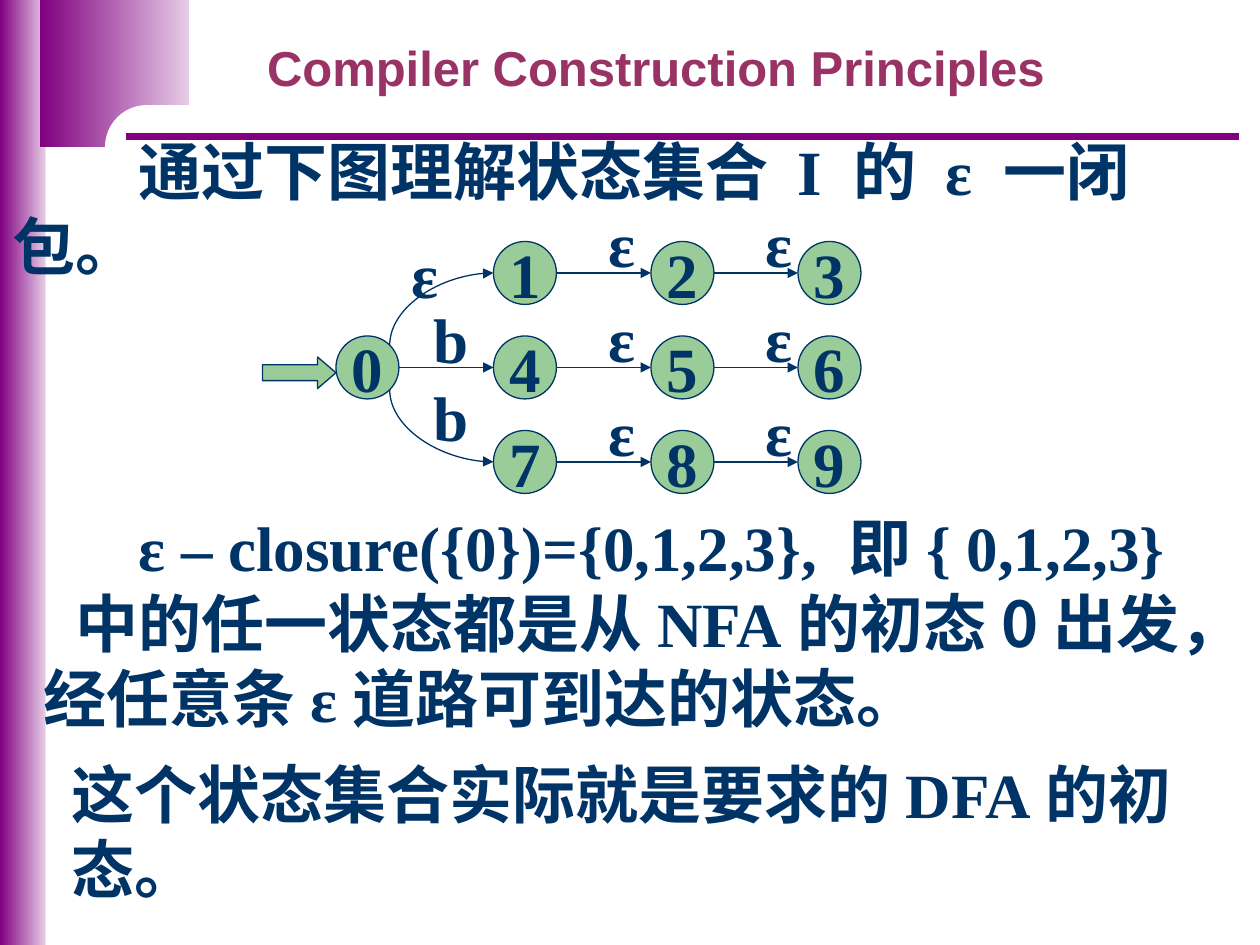
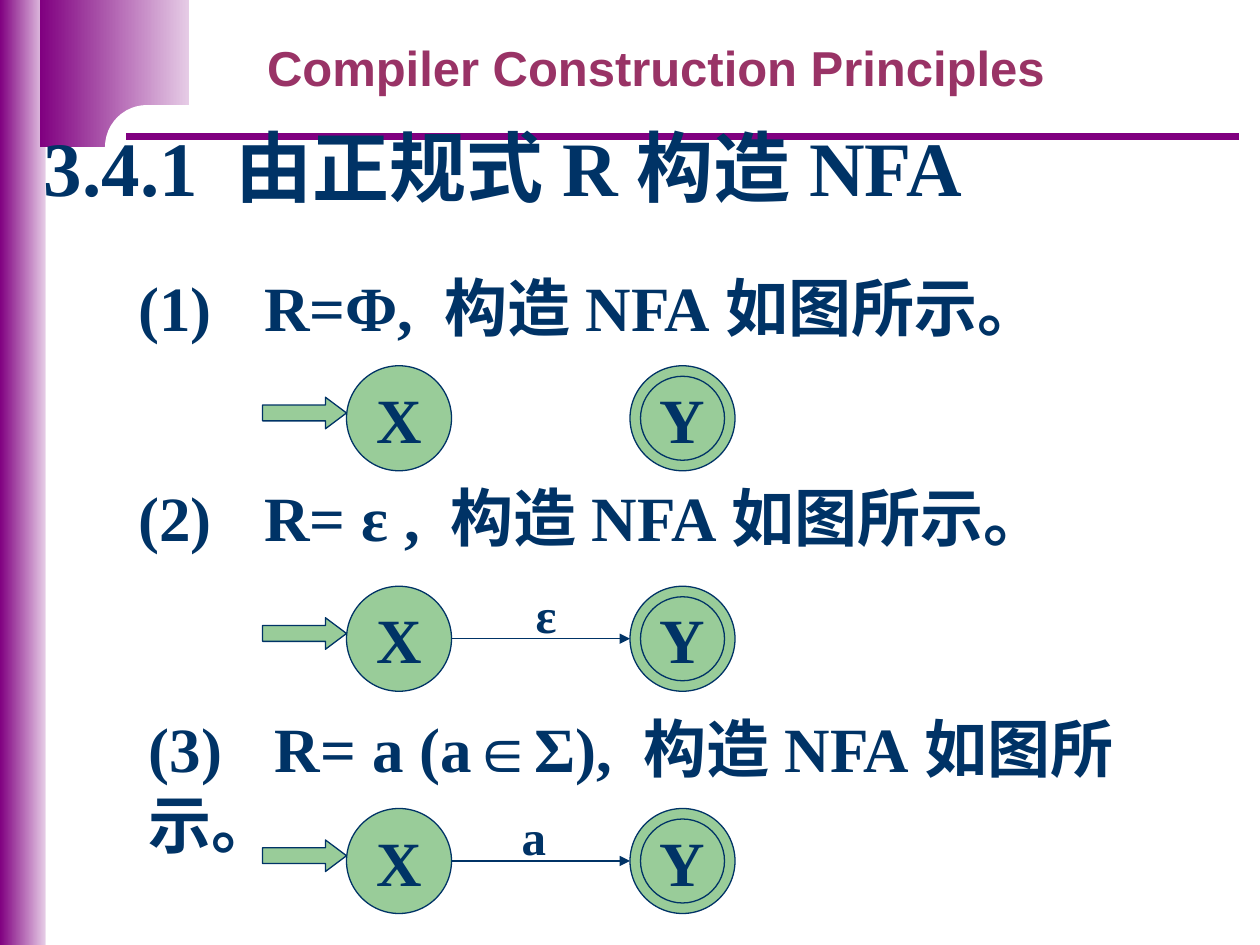
from lxml import etree
from pptx import Presentation, util as u
from pptx.dml import color
from pptx.enum import shapes, text
from pptx.oxml import ns

INK, PURPLE, LILAC, GREEN = "003366", "800080", "E6CCE6", "99CC99"
SERIF, SANS, HAN = "Times New Roman", "Arial", "Noto Sans CJK SC"
FRAME = {"word_wrap": True, "auto_size": text.MSO_AUTO_SIZE.NONE}
TIGHT = {"word_wrap": False}
CENTRED = {"alignment": text.PP_ALIGN.CENTER}
MIDDLE = {"word_wrap": False, "vertical_anchor": text.MSO_ANCHOR.MIDDLE}
NODE = 36
ARROW_HEIGHT = 18


def rgb(value):
    """Return the colour for a hex string."""
    return color.RGBColor.from_string(value)


def assign(target, formats):
    """Set each format value on the target."""
    for key, value in formats.items():
        setattr(target, key, value)


def add_xml(parent, tag, **attributes):
    """Append a drawing element to the parent."""
    return etree.SubElement(parent, ns.qn(tag), attributes)


def add_run(paragraph, words, size=36, font=SERIF, ink=INK):
    """Add bold words with Latin and Han fonts."""
    run = paragraph.add_run()
    run.text = words
    assign(run.font, {"size": u.Pt(size), "name": font, "bold": True})
    run.font.color.rgb = rgb(ink)
    add_xml(run.font._element, "a:ea", typeface=HAN)


def write(frame, lines, frame_format=FRAME, line_format={}, margin=0,
          first=0, tab=None, **run_format):
    """Fill a frame with lines, each a list of (words, font) runs."""
    assign(frame, {**FRAME, **frame_format})
    for index, line in enumerate(lines):
        paragraph = frame.add_paragraph() if index else frame.paragraphs[0]
        assign(paragraph, line_format)
        properties = paragraph._p.get_or_add_pPr()
        properties.set("marL", str(u.Pt(margin)))
        properties.set("indent", str(u.Pt(first[index] if isinstance(first, list) else first)))
        if tab:
            stops = add_xml(properties, "a:tabLst")
            add_xml(stops, "a:tab", pos=str(u.Pt(tab)), algn="l")
        for words, font in line:
            add_run(paragraph, words, font=font, **run_format)


def add_text(slide, box, lines, **formats):
    """Add a text box at left, top, width, height."""
    frame = slide.shapes.add_textbox(*map(u.Pt, box)).text_frame
    write(frame, lines, **formats)


def add_label(slide, left, top, letter, size=36):
    """Add the letter of a transition."""
    width = size * (0.42 if letter == "ε" else 0.54) + 14.4
    add_text(slide, (left, top, width, size * 1.4), [[(letter, SERIF)]],
             frame_format=TIGHT, size=size)


def add_figure(slide, kind, box, fill, line=None):
    """Add a flat preset shape, filled plainly or with two gradient colours."""
    figure = slide.shapes.add_shape(kind, *map(u.Pt, box))
    figure.shadow.inherit = False
    if isinstance(fill, tuple):
        figure.fill.gradient()
        figure.fill.gradient_angle = 0
        for stop, shade in zip(figure.fill.gradient_stops, fill):
            stop.color.rgb = rgb(shade)
    else:
        figure.fill.solid()
        figure.fill.fore_color.rgb = rgb(fill)
    if line:
        figure.line.color.rgb = rgb(line)
        figure.line.width = u.Pt(0.75)
    else:
        figure.line.fill.background()
    return figure


def add_state(slide, left, top, size, name=None):
    """Add the circle of an automaton state."""
    state = add_figure(slide, shapes.MSO_SHAPE.OVAL, (left, top, size, size), GREEN, INK)
    if name:
        write(state.text_frame, [[(name, SERIF)]], frame_format=MIDDLE, line_format=CENTRED)


def add_start(slide, left, top, width):
    """Add the block arrow that points to the initial state."""
    start = add_figure(slide, shapes.MSO_SHAPE.RIGHT_ARROW,
                       (left, top, width, ARROW_HEIGHT), GREEN, INK)
    start.adjustments[1] = width / 4 / ARROW_HEIGHT


def add_line(slide, ends, ink=INK, width=0.75, head=None, curved=False):
    """Add a line; head names the end that carries the arrow."""
    kind = shapes.MSO_CONNECTOR.CURVE if curved else shapes.MSO_CONNECTOR.STRAIGHT
    line = slide.shapes.add_connector(kind, *map(u.Pt, ends))
    line.line.color.rgb = rgb(ink)
    line.line.width = u.Pt(width)
    if head:
        add_xml(line.line._get_or_add_ln(), head, type="triangle")
    properties = line._element.spPr
    if curved:
        properties.find(ns.qn("a:prstGeom")).set("prst", "curvedConnector2")
    add_xml(properties, "a:effectLst")


def add_slide(deck):
    """Add a slide with the purple bands, the rule and the course title."""
    slide = deck.slides.add_slide(deck.slide_layouts[6])
    for band in ((0, 0, 26, 540), (23, 0, 85, 84)):
        add_figure(slide, shapes.MSO_SHAPE.RECTANGLE, band, (PURPLE, LILAC))
    notch = add_figure(slide, shapes.MSO_SHAPE.ROUNDED_RECTANGLE, (60, 60, 402, 48), "FFFFFF")
    notch.adjustments[0] = 0.5
    add_line(slide, (72, 78, 708, 78), PURPLE, 4.5)
    add_text(slide, (137.5, 18, 474.5, 41), [[("Compiler Construction Principles", SANS)]],
             line_format=CENTRED, size=28, ink="993366")
    return slide


def draw_closure(slide, left, top):
    """Draw the automaton with states 0 to 9 from its top left corner."""
    columns = [left + x for x in (132, 222, 306)]
    rows = [top + 54 * row for row in range(3)]
    origin, centre = left + 42, rows[1] + NODE / 2
    add_state(slide, origin, rows[1], NODE, "0")
    for row, y in enumerate(rows):
        middle = y + NODE / 2
        for column, x in enumerate(columns):
            add_state(slide, x, y, NODE, str(3 * row + column + 1))
        for source, target in zip(columns, columns[1:]):
            add_line(slide, (source + NODE, middle, target, middle), head="a:tailEnd")
            add_label(slide, source + 58.5, y - 24.5, "ε")
    add_line(slide, (origin + NODE, centre, columns[0], centre), head="a:tailEnd")
    for y, side in ((rows[0], -1), (rows[2], 1)):
        add_line(slide, (columns[0], y + NODE / 2, origin + 30.73, centre + side * 12.73),
                 head="a:headEnd", curved=True)
    for x, y, letter in ((78, -7, "ε"), (90.5, 30, "b"), (90.5, 75, "b")):
        add_label(slide, left + x, top + y, letter)
    add_start(slide, left, top + 66, 42)


def draw_basic(slide, left, top, letter=None, letter_left=0):
    """Draw the states X and Y, joined when a letter is given."""
    start, size, final = left + 48, 60, left + 210
    add_state(slide, start, top, size, "X")
    add_state(slide, final, top, size)
    add_state(slide, final + 6, top + 6, size - 12, "Y")
    add_start(slide, left, top + 18, 48)
    if letter:
        add_line(slide, (start + size, top + 30, final, top + 30), head="a:tailEnd")
        add_label(slide, left + letter_left, top - 4.5, letter, 28)


def build_closure_slide(deck):
    """Explain the closure of a set of states."""
    slide = add_slide(deck)
    add_text(slide, (0, 287, 720, 137), [
        [("ε – closure({0})={0,1,2,3}, 即{ 0,1,2,3}", SERIF)],
        [("中的任一状态都是从NFA", SERIF), ("的初态0出发，", HAN)],
        [("经任意条", HAN), ("ε", SERIF), ("道路可到达的状态。", HAN)],
    ], first=[72, 36, 18])
    add_text(slide, (0, 72, 654, 94), [[("通过下图理解状态集合 I 的 ε 一闭包。", SERIF)]], first=72)
    add_text(slide, (34, 428, 672, 94), [[("这个状态集合实际就是要求的DFA的初态。", SERIF)]])
    draw_closure(slide, 150, 138)


def build_expression_slide(deck):
    """Build an automaton for each basic regular expression."""
    slide = add_slide(deck)
    cases = (
        ((72, 150, 546, 50), [("(1)\tR=Φ, 构造NFA如图所示。", SERIF)], (209,)),
        ((72, 270, 546, 50), [("(2)\tR= ε , 构造NFA如图所示。", SERIF)], (335, "ε", 149)),
        ((78, 402, 600, 94), [("(3)\tR= a (a", SERIF), ("∈", SANS),
                              ("Σ), 构造NFA如图所示。", SERIF)], (462, "a", 141)),
    )
    for box, line, automaton in cases:
        add_text(slide, box, [line], tab=69)
        draw_basic(slide, 150, *automaton)
    add_text(slide, (7, 60, 713, 65.5), [[("3.4.1 由正规式R构造NFA", SERIF)]],
             frame_format={"vertical_anchor": text.MSO_ANCHOR.BOTTOM},
             line_format={"line_spacing": 0.9}, first=11, size=44)


def main():
    """Build and save the deck."""
    deck = Presentation()
    assign(deck, {"slide_width": u.Pt(720), "slide_height": u.Pt(540)})
    build_closure_slide(deck)
    build_expression_slide(deck)
    deck.save("out.pptx")


if __name__ == "__main__":
    main()
